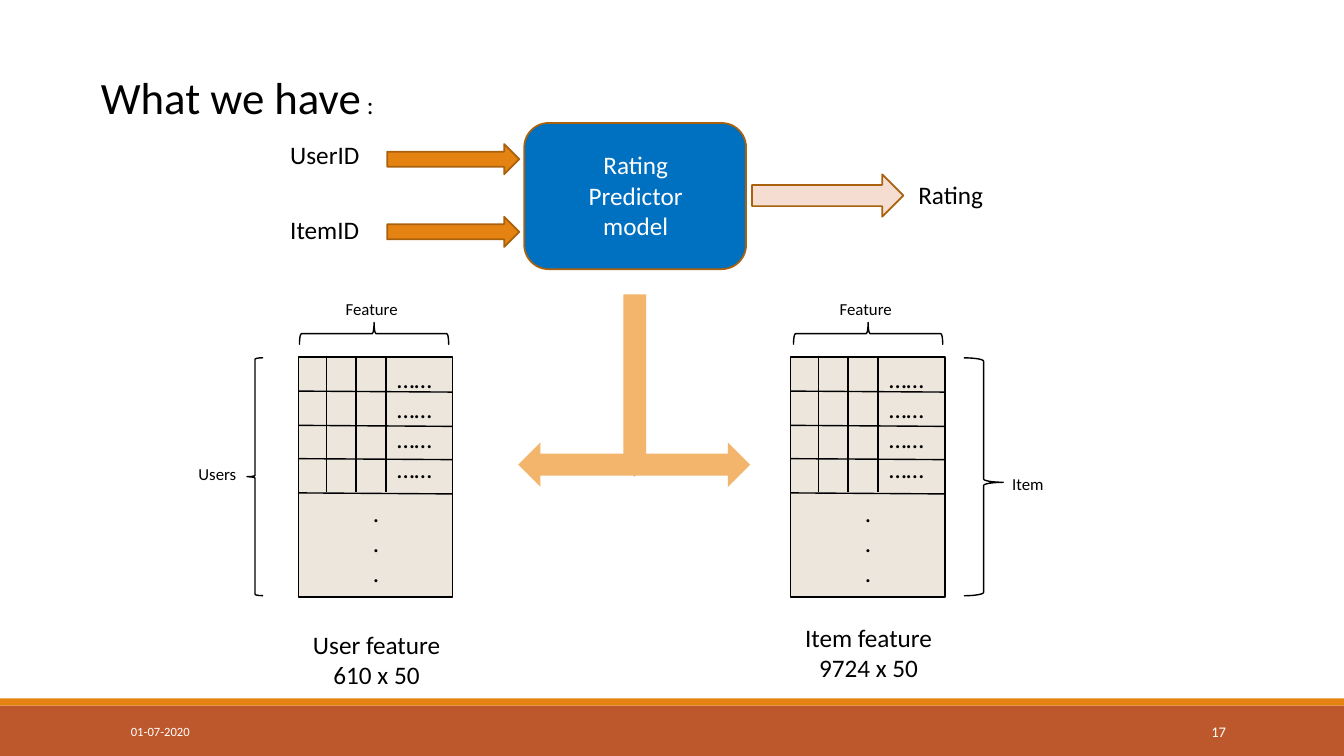
from lxml.etree import SubElement
from pptx import Presentation
from pptx.dml.color import RGBColor
from pptx.enum.shapes import MSO_CONNECTOR as Link, MSO_SHAPE as Kind
from pptx.enum.text import MSO_ANCHOR as Anchor, MSO_AUTO_SIZE as Fit, PP_ALIGN as Align
from pptx.oxml.ns import qn
from pptx.util import Inches, Pt

BLACK, WHITE = "000000", "FFFFFF"
ORANGE, RUST, BROWN = "E48312", "BD582C", "A9610D"
BLUE, PINK, SAND, PEACH = "0070C0", "F5DDD2", "ECE6DD", "F3B56C"


def color(value):
    """Turn a hex string into a colour."""
    return RGBColor.from_string(value)


def lengths(box):
    """Turn numbers in inches into lengths."""
    return [Inches(value) for value in box]


def apply(target, formats):
    """Set every attribute named in formats on the target."""
    for name, value in formats.items():
        setattr(target, name, value)


def write(frame, paragraphs, align=Align.LEFT, anchor=Anchor.TOP, fill=BLACK):
    """Fill a text frame with paragraphs made of (text, size) spans."""
    apply(frame, {"word_wrap": True, "auto_size": Fit.NONE, "vertical_anchor": anchor})
    for index, spans in enumerate(paragraphs):
        para = frame.add_paragraph() if index else frame.paragraphs[0]
        para.alignment = align
        for text, size in spans:
            span = para.add_run()
            span.text = text
            apply(span.font, {"name": "Calibri", "size": Pt(size), "bold": False})
            span.font.color.rgb = color(fill)


def label(page, box, lines, size=18, **formats):
    """Add a text box with one paragraph for each line."""
    frame = page.shapes.add_textbox(*lengths(box)).text_frame
    write(frame, [[(line, size)] for line in lines], **formats)


def block(page, kind, box, fill=None, line=None, width=1.25, turn=0):
    """Add a preset shape with plain fill and outline."""
    shape = page.shapes.add_shape(kind, *lengths(box))
    shape.shadow.inherit = False
    shape.rotation = turn
    if fill:
        shape.fill.solid()
        shape.fill.fore_color.rgb = color(fill)
    else:
        shape.fill.background()
    if line:
        shape.line.color.rgb = color(line)
        shape.line.width = Pt(width)
    else:
        shape.line.fill.background()
    return shape


def rule(page, *ends):
    """Draw a thin black line between two points."""
    line = page.shapes.add_connector(Link.STRAIGHT, *lengths(ends))
    line.line.color.rgb = color(BLACK)
    line.line.width = Pt(1)
    SubElement(line.element.spPr, qn("a:effectLst"))


def brace(page, box, turn=0):
    """Draw a curly brace."""
    return block(page, Kind.LEFT_BRACE, box, line=BLACK, width=1, turn=turn)


def title(page, box):
    """Move and fill the title placeholder."""
    holder = page.shapes.title
    apply(holder, dict(zip(("left", "top", "width", "height"), lengths(box))))
    write(holder.text_frame, [[("What we have", 32), (" :", 18)]])


def predictor(page, box):
    """Draw the model with its two inputs and its output."""
    left, top, width, height = box
    block(page, Kind.ROUNDED_RECTANGLE, box, BLUE, BROWN)
    label(page, (left + 0.24, top + 0.21, 1.73, 1.01), ["Rating Predictor model"],
          align=Align.CENTER, anchor=Anchor.MIDDLE, fill=WHITE)
    for name, text_drop, arrow_drop in (("UserID", 0.11, 0.21), ("ItemID", 0.86, 0.93)):
        block(page, Kind.RIGHT_ARROW, (left - 1.36, top + arrow_drop, 1.31, 0.3), ORANGE, BROWN)
        label(page, (left - 2.42, top + text_drop, 1.01, 0.4), [name])
    right = left + width
    block(page, Kind.RIGHT_ARROW, (right + 0.06, top + 0.51, 1.5, 0.42), PINK, BROWN)
    label(page, (right + 1.61, top + 0.51, 1.03, 0.4), ["Rating"])


def matrix(page, box, caption, caption_drop, feature_shift):
    """Draw a feature matrix with its caption and the brace over it."""
    left, top, width, height = box
    block(page, Kind.RECTANGLE, box, SAND, BLACK)
    for drop in (0.34, 0.68, 1.01, 1.35):
        rule(page, left, top + drop, left + width, top + drop + 0.01)
    for shift in (0.28, 0.57, 0.87):
        rule(page, left + shift, top, left + shift, top + 1.34)
    label(page, (left + 0.06, top + 1.34, 1.42, 1.31), ["."] * 3, align=Align.CENTER)
    label(page, (left + 0.88, top + 0.01, 0.6, 1.31), ["……………………"])
    label(page, (left - 0.18, top + caption_drop, 1.91, 0.71), caption, align=Align.CENTER)
    brace(page, (left + feature_shift + 0.27, top - 0.97, 0.22, 1.48), 90)
    label(page, (left + feature_shift, top - 0.63, 0.76, 0.3), ["Feature"], 12)


def side_braces(page, top, height):
    """Mark the rows of both matrices."""
    brace(page, (2.45, top, 0.16, height))
    label(page, (1.87, top + 1, 0.61, 0.3), ["Users"], 12)
    item = brace(page, (9.56, top, 0.39, height), 180)
    item.adjustments[1] = 0.477
    label(page, (9.94, top + 1.1, 0.61, 0.3), ["Item"], 12)


def split_arrow(page, box):
    """Draw the arrow from the model to both matrices."""
    left, top, width, height = box
    block(page, Kind.DOWN_ARROW, (left + 0.93, top, 0.45, 1.81), PEACH)
    block(page, Kind.LEFT_RIGHT_ARROW, (left, top + height - 0.44, width, 0.44), PEACH)


def footer(page, box):
    """Draw the bands with the date and the page number."""
    left, top, width, height = box
    block(page, Kind.RECTANGLE, box, RUST)
    block(page, Kind.RECTANGLE, (left, top - 0.07, width, 0.07), ORANGE)
    formats = {"anchor": Anchor.MIDDLE, "fill": WHITE}
    label(page, (1.2, top + 0.06, 2.7, 0.4), ["01-07-2020"], 9, **formats)
    label(page, (10.83, top + 0.06, 1.43, 0.4), ["17"], 10.5, align=Align.RIGHT, **formats)


def main():
    """Build and save the slide."""
    deck = Presentation()
    apply(deck, {"slide_width": Inches(13.33), "slide_height": Inches(7.5)})
    page = deck.slides.add_slide(deck.slide_layouts[5])
    footer(page, (0, 7, 13.33, 0.5))
    predictor(page, (5.2, 1.22, 2.2, 1.45))
    title(page, (0.9, 0.64, 9.35, 0.64))
    matrix(page, (2.96, 3.54, 1.53, 2.38), ["User feature", "610 x 50"], 2.65, 0.37)
    matrix(page, (7.84, 3.54, 1.53, 2.38), ["Item feature", "9724 x 50"], 2.58, 0.39)
    side_braces(page, 3.55, 2.36)
    split_arrow(page, (5.14, 2.92, 2.3, 1.91))
    deck.save("out.pptx")


if __name__ == "__main__":
    main()
